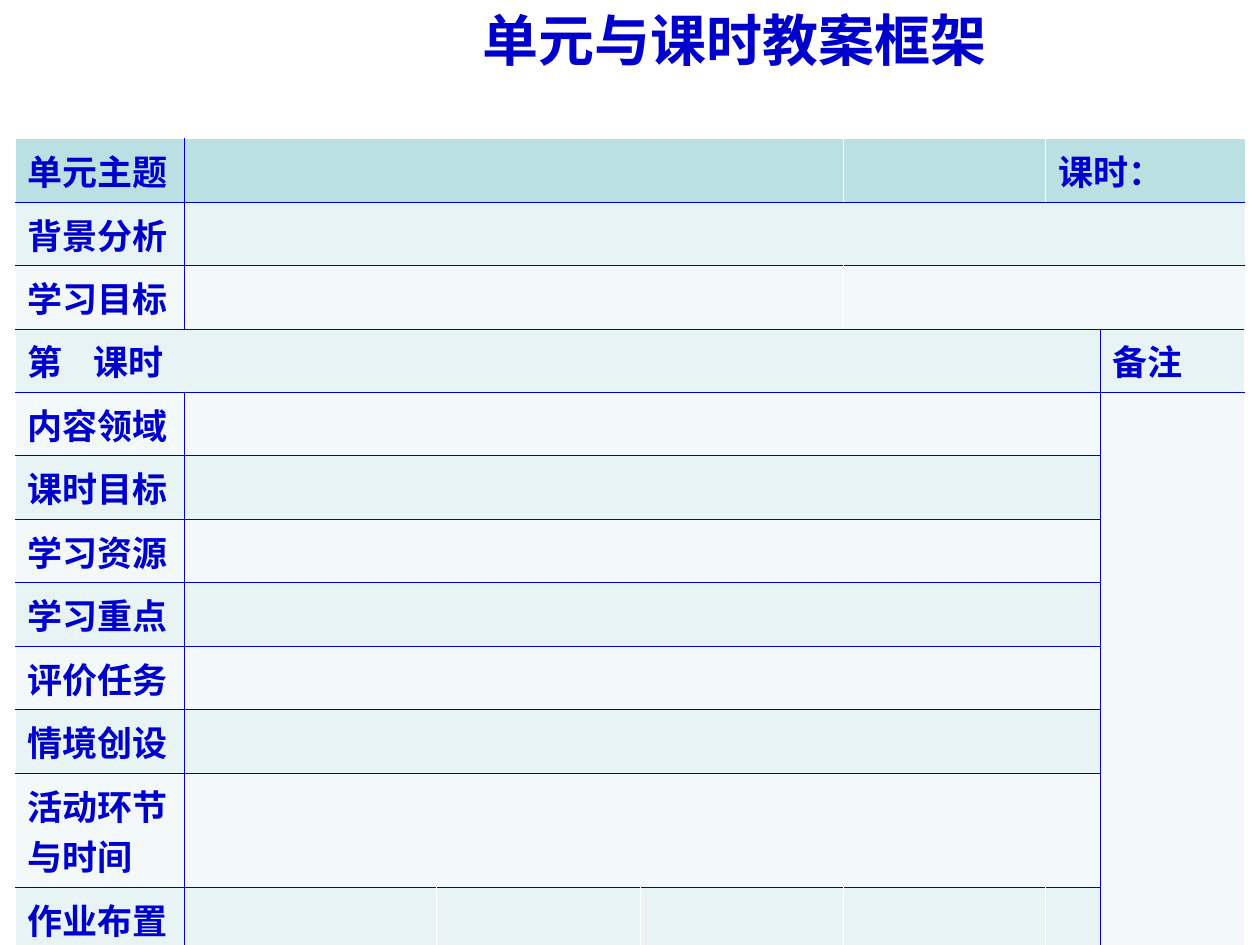
"""Build the unit and lesson plan framework slide."""
from typing import NamedTuple

from lxml import etree
from pptx import Presentation
from pptx import util as u
from pptx.dml.color import RGBColor
from pptx.enum import text
from pptx.oxml import ns

BLUE = RGBColor(0x00, 0x00, 0xCC)
WHITE = RGBColor(0xFF, 0xFF, 0xFF)
HEADER = RGBColor(0xBB, 0xE0, 0xE3)
BANDS = (RGBColor(0xF3, 0xF9, 0xFA), RGBColor(0xE7, 0xF3, 0xF4))
EDGE_COLOURS = {"B": BLUE, "W": WHITE}
CJK_FONT = "Noto Sans CJK SC"
NO_GRID_STYLE = "{2D5ABB26-0587-4C30-8999-92F81FD0307C}"
COLUMNS = (1.34, 2, 1.62, 1.61, 1.61, 0.43, 1.15)
ROW_HEIGHT, TALL_HEIGHT, TALL_ROW = 0.44, 0.77, 10
BLANK_STOPS = (0.52, 1.46)
LABELS = {0: "单元主题", 1: "背景分析", 2: "学习目标", 4: "内容领域", 5: "课时目标", 6: "学习资源",
          7: "学习重点", 8: "评价任务", 9: "情境创设", 10: "活动环节与时间", 11: "作业布置"}
ROW_COUNT = 12


class Region(NamedTuple):
    """A block of cells; edges are left, top, right, bottom as B, W or -."""

    row: int
    column: int
    columns: int = 1
    rows: int = 1
    edges: str = "BBBB"
    runs: tuple[str, ...] = ()


REGIONS = [
    Region(0, 0, edges="WWBB", runs=(LABELS[0],)),
    Region(0, 1, 3, edges="BWWB"),
    Region(0, 4, edges="WWWB"),
    Region(0, 5, 2, edges="WWWB", runs=("课时：",)),
    Region(1, 1, edges="BB-B"),
    Region(1, 2, edges="-B-B"),
    Region(1, 3, 4, edges="-BWB"),
    Region(2, 1, edges="BB-B"),
    Region(2, 2, edges="-B-B"),
    Region(2, 3, edges="-BWB"),
    Region(2, 4, 3, edges="WBWB"),
    Region(3, 0, 6, edges="WBBB", runs=("第", "\t", "课时", "\t")),
    Region(3, 6, edges="BBWB", runs=("备注",)),
    Region(4, 6, rows=8, edges="BBWB"),
    *[Region(row, 0, edges="WBBB", runs=(label,)) for row, label in LABELS.items() if row],
    *[Region(row, 1, 5) for row in range(4, 11)],
    Region(11, 1, edges="BBWB"),
    *[Region(11, column, edges="WBWB") for column in (2, 3, 4)],
    Region(11, 5, edges="WBBB"),
]


def format_run(run, font_name: str, size: int, underline: bool = False) -> None:
    """Apply the bold blue lettering to a run."""
    values = {"name": font_name, "size": u.Pt(size), "bold": True, "underline": underline}
    for name, value in values.items():
        setattr(run.font, name, value)
    run.font.color.rgb = BLUE
    etree.SubElement(run.font._element, ns.qn("a:ea"), typeface=CJK_FONT)


def add_border(cell, position: int, side: str, edge: str) -> None:
    """Insert one cell border ahead of the cell fill."""
    line = etree.Element(ns.qn(f"a:ln{side}"), w=str(u.Pt(0.45)))
    if edge in EDGE_COLOURS:
        fill = etree.SubElement(line, ns.qn("a:solidFill"))
        etree.SubElement(fill, ns.qn("a:srgbClr"), val=str(EDGE_COLOURS[edge]))
    else:
        etree.SubElement(line, ns.qn("a:noFill"))
    cell._tc.get_or_add_tcPr().insert(position, line)


def write_runs(cell, runs: tuple[str, ...]) -> None:
    """Write a label, drawing each tab as an underlined blank."""
    paragraph = cell.text_frame.paragraphs[0]
    if "\t" in runs:
        stops = etree.SubElement(paragraph._p.get_or_add_pPr(), ns.qn("a:tabLst"))
        for stop in BLANK_STOPS:
            etree.SubElement(stops, ns.qn("a:tab"), pos=str(u.Inches(stop)), algn="l")
    for words in runs:
        run = paragraph.add_run()
        run.text = words
        format_run(run, CJK_FONT, 20, underline=words == "\t")


def draw_region(table, region: Region) -> None:
    """Merge, fill, border and label one region of the table."""
    last_row = region.row + region.rows - 1
    last_column = region.column + region.columns - 1
    first = table.cell(region.row, region.column)
    if (last_row, last_column) != (region.row, region.column):
        first.merge(table.cell(last_row, last_column))
    left, top, right, bottom = region.edges
    for row in range(region.row, last_row + 1):
        for column in range(region.column, last_column + 1):
            cell = table.cell(row, column)
            cell.fill.solid()
            cell.fill.fore_color.rgb = BANDS[row % 2] if row else HEADER
            sides = (("L", left, column == region.column), ("R", right, column == last_column),
                     ("T", top, row == region.row), ("B", bottom, row == last_row))
            for position, (side, edge, outer) in enumerate(sides):
                add_border(cell, position, side, edge if outer else "-")
    write_runs(first, region.runs)


def draw_title(slide) -> None:
    """Place and format the slide title."""
    title = slide.shapes.title
    box = {"left": 2.24, "top": 0.05, "width": 7.18, "height": 0.79}
    for name, value in box.items():
        setattr(title, name, u.Inches(value))
    title.fill.solid()
    title.fill.fore_color.rgb = WHITE
    title.text_frame.vertical_anchor = text.MSO_ANCHOR.TOP
    paragraph = title.text_frame.paragraphs[0]
    paragraph.alignment = text.PP_ALIGN.CENTER
    paragraph.line_spacing = 0.9
    run = paragraph.add_run()
    run.text = "单元与课时教案框架"
    format_run(run, "Lato", 32)


def draw_plan(slide) -> None:
    """Add the lesson plan table."""
    heights = [TALL_HEIGHT if row == TALL_ROW else ROW_HEIGHT for row in range(ROW_COUNT)]
    frame = slide.shapes.add_table(ROW_COUNT, len(COLUMNS), u.Inches(0.12), u.Inches(1.1),
                                   u.Inches(sum(COLUMNS)), u.Inches(sum(heights)))
    table = frame.table
    table.first_row = table.horz_banding = False
    table._tbl.tblPr.find(ns.qn("a:tableStyleId")).text = NO_GRID_STYLE
    for column, width in zip(table.columns, COLUMNS):
        column.width = u.Inches(width)
    for row, height in zip(table.rows, heights):
        row.height = u.Inches(height)
    for region in REGIONS:
        draw_region(table, region)


def main() -> None:
    """Create and save the presentation."""
    presentation = Presentation()
    presentation.slide_width, presentation.slide_height = u.Inches(10), u.Inches(7.5)
    slide = presentation.slides.add_slide(presentation.slide_layouts[5])
    draw_title(slide)
    draw_plan(slide)
    presentation.save("out.pptx")


if __name__ == "__main__":
    main()
